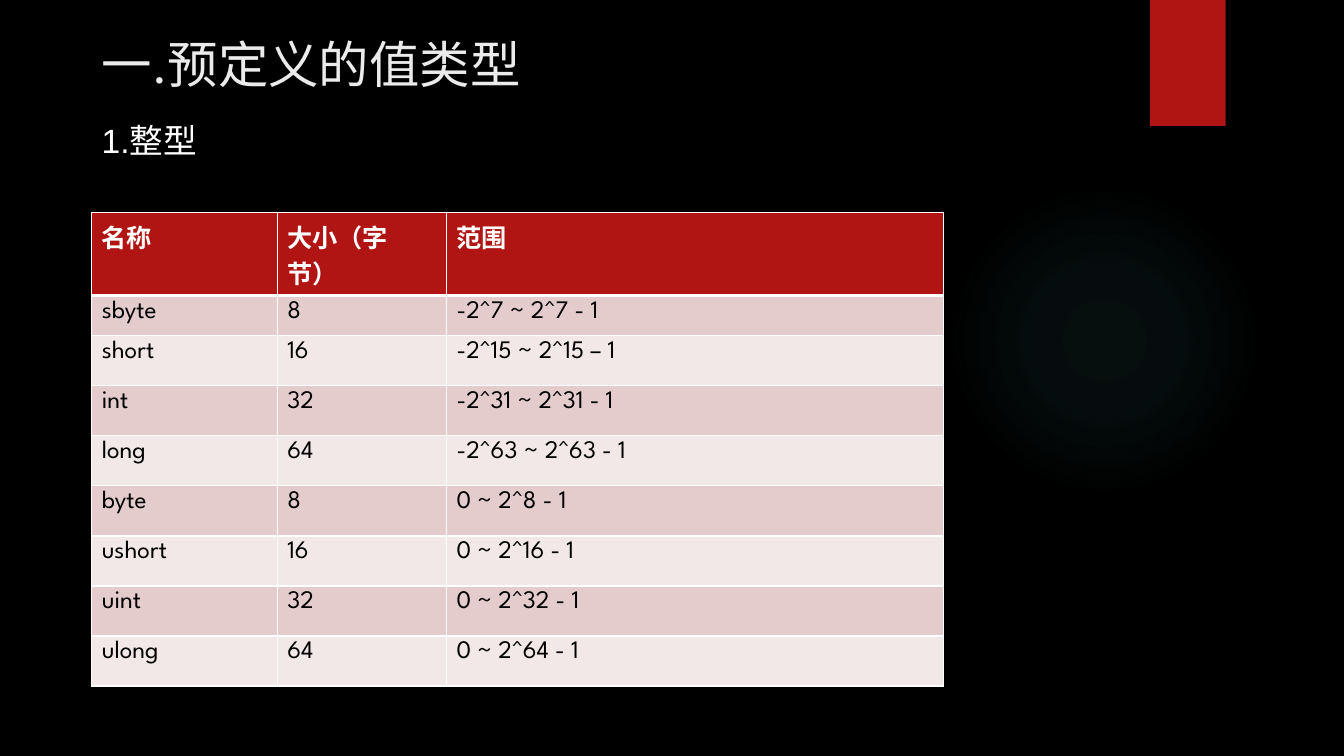
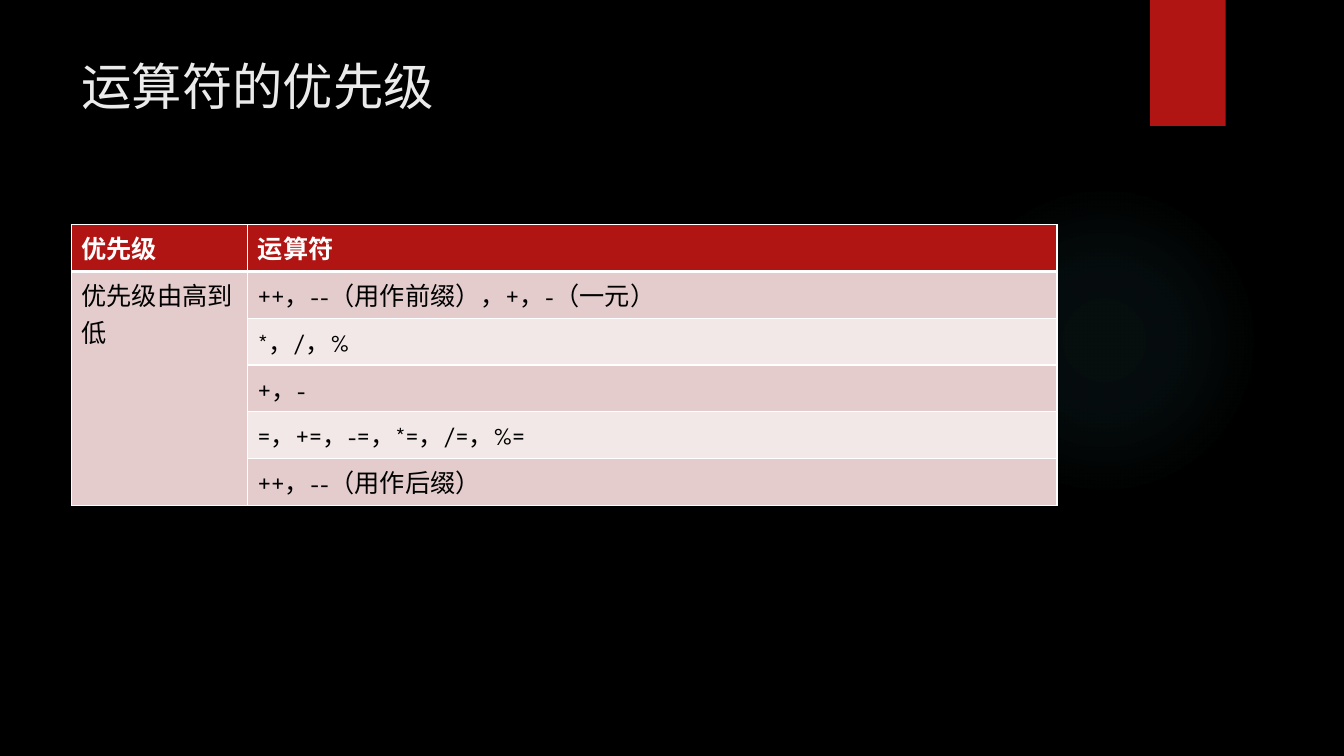
import pptx
import pptx.dml.color
import pptx.enum.shapes
import pptx.oxml
import pptx.oxml.ns
import pptx.util

Pt = pptx.util.Pt
Color = pptx.dml.color.RGBColor
Shape = pptx.enum.shapes.MSO_SHAPE

BLACK = Color(0x00, 0x00, 0x00)
WHITE = Color(0xFF, 0xFF, 0xFF)
PALE = Color(0xEB, 0xEB, 0xEB)
RED = Color(0xB0, 0x15, 0x13)
ROSE = Color(0xE4, 0xCC, 0xCC)
BLUSH = Color(0xF2, 0xE8, 0xE7)
TEAL = Color(0x50, 0xB9, 0xC1)

FONT = "League Spartan"
SPACE = pptx.oxml.ns.nsdecls("a")
# Position and opacity, both in percent
STOPS = ((0, 7), (36, 6), (69, 0))


class Deck:
    def __init__(self):
        self.show = pptx.Presentation()
        self.show.slide_width = Pt(960)
        self.show.slide_height = Pt(540)
        self.slide = None

    def start(self):
        """Open a new slide with the shared backdrop."""
        self.slide = self.show.slides.add_slide(self.show.slide_layouts[6])
        back = self.slide.background.fill
        back.solid()
        back.fore_color.rgb = BLACK
        self.glow()
        self.shape(Shape.RECTANGLE, 821.5, 0, 54, 90, RED)

    def shape(self, kind, left, top, width, height, color):
        item = self.slide.shapes.add_shape(
            kind, Pt(left), Pt(top), Pt(width), Pt(height))
        item.shadow.inherit = False
        item.line.fill.background()
        item.fill.solid()
        item.fill.fore_color.rgb = color
        return item

    def glow(self):
        """Add the faint round light, fading out from its centre."""
        item = self.shape(Shape.OVAL, 677.5, 132, 222, 222, TEAL)
        stops = "".join(
            f'<a:gs pos="{place * 1000}"><a:srgbClr val="{TEAL}">'
            f'<a:alpha val="{alpha * 1000}"/></a:srgbClr></a:gs>'
            for place, alpha in STOPS)
        fill = pptx.oxml.parse_xml(
            f'<a:gradFill {SPACE} rotWithShape="1"><a:gsLst>{stops}</a:gsLst>'
            '<a:path path="circle"><a:fillToRect l="50000" t="50000" '
            'r="50000" b="50000"/></a:path></a:gradFill>')
        props = item.element.spPr
        props.replace(props.find(pptx.oxml.ns.qn("a:solidFill")), fill)

    def style(self, frame, size, color, font=FONT, bold=False):
        for para in frame.paragraphs:
            for run in para.runs:
                run.font.name = font
                run.font.size = Pt(size)
                run.font.bold = bold
                run.font.color.rgb = color

    def text(self, words, left, top, width, height, size, color, font=FONT):
        box = self.slide.shapes.add_textbox(
            Pt(left), Pt(top), Pt(width), Pt(height))
        frame = box.text_frame
        frame.word_wrap = True
        frame.text = words
        self.style(frame, size, color, font)

    def title(self, words, left, top, height):
        self.text(words, left, top, 741, height, 36, PALE)

    def border(self, cell, row):
        """Draw white cell edges, with a thick rule under the header."""
        props = cell._tc.get_or_add_tcPr()
        wide = {"T": row == 1, "B": row == 0}
        for spot, side in enumerate("LRTB"):
            width = Pt(3 if wide.get(side) else 1)
            props.insert(spot, pptx.oxml.parse_xml(
                f'<a:ln{side} {SPACE} w="{width}"><a:solidFill>'
                f'<a:srgbClr val="{WHITE}"/></a:solidFill></a:ln{side}>'))

    def table(self, rows, left, top, widths, heights):
        grid = self.slide.shapes.add_table(
            len(rows), len(widths), Pt(left), Pt(top),
            Pt(sum(widths)), Pt(sum(heights))).table
        for col, width in zip(grid.columns, widths):
            col.width = Pt(width)
        for row, (words, height) in enumerate(zip(rows, heights)):
            grid.rows[row].height = Pt(height)
            head = row == 0
            color = RED if head else ROSE if row % 2 else BLUSH
            for col, word in enumerate(words):
                cell = grid.cell(row, col)
                cell.fill.solid()
                cell.fill.fore_color.rgb = color
                self.border(cell, row)
                cell.text_frame.text = word
                self.style(cell.text_frame, 18,
                           WHITE if head else BLACK, bold=head)
        return grid


def types(deck):
    deck.start()
    deck.title("一.预定义的值类型", 65.5, 20, 84)
    rows = [
        ("名称", "大小（字节）", "范围"),
        ("sbyte", "8", "-2^7 ~ 2^7 - 1"),
        ("short", "16", "-2^15 ~ 2^15 – 1"),
        ("int", "32", "-2^31 ~ 2^31 - 1"),
        ("long", "64", "-2^63 ~ 2^63 - 1"),
        ("byte", "8", "0 ~ 2^8 - 1"),
        ("ushort", "16", "0 ~ 2^16 - 1"),
        ("uint", "32", "0 ~ 2^32 - 1"),
        ("ulong", "64", "0 ~ 2^64 - 1"),
    ]
    deck.table(rows, 65.5, 152, (132.5, 121, 355), [59, 23.5] + [35.75] * 7)
    deck.text("1.整型", 65.5, 82, 394.5, 36, 24, WHITE, "Arial")


def ranks(deck):
    deck.start()
    deck.title("运算符的优先级", 51, 36, 110)
    rows = [
        ("优先级", "运算符"),
        ("优先级由高到低", "++，--（用作前缀），+，-（一元）"),
        ("", "*，/，%"),
        ("", "+，-"),
        ("", "=，+=，-=，*=，/=，%="),
        ("", "++，--（用作后缀）"),
    ]
    grid = deck.table(rows, 51, 160.5, (126, 578), [33.4] * len(rows))
    grid.cell(1, 0).merge(grid.cell(len(rows) - 1, 0))


def main():
    deck = Deck()
    types(deck)
    ranks(deck)
    deck.show.save("out.pptx")


if __name__ == "__main__":
    main()
